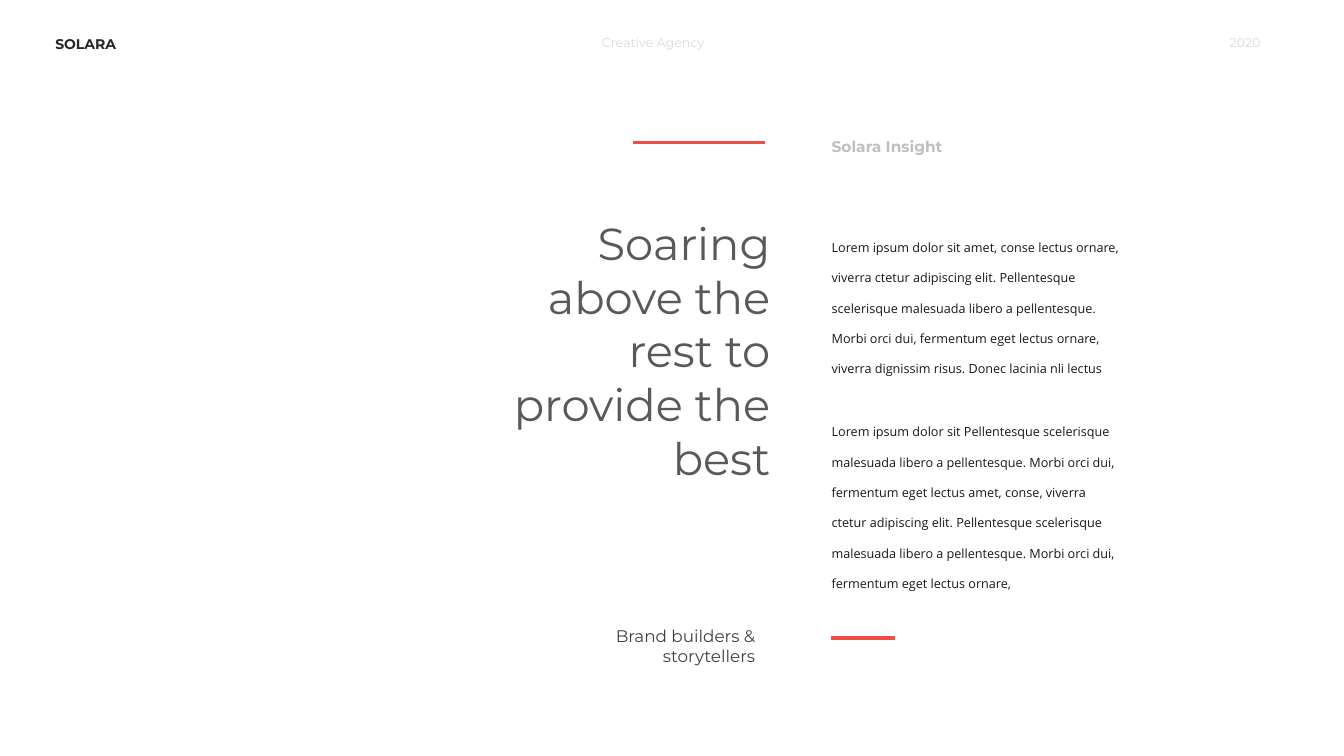
from dataclasses import dataclass

from lxml import etree
from pptx import Presentation, util as u
from pptx.dml.color import RGBColor
from pptx.enum import shapes, text
from pptx.oxml import ns
from pptx.slide import Slide


@dataclass(frozen=True)
class TextStyle:
    font: str
    size: float
    color: str
    bold: bool = False


@dataclass(frozen=True)
class Theme:
    brand: TextStyle = TextStyle("Montserrat", 10, "262626", True)
    header: TextStyle = TextStyle("Montserrat", 9, "D9D9D9")
    headline: TextStyle = TextStyle("Montserrat", 32, "595959")
    tagline: TextStyle = TextStyle("Montserrat", 12, "404040")
    section: TextStyle = TextStyle("Montserrat", 11, "BFBFBF", True)
    body: TextStyle = TextStyle("Open Sans", 9, "181818")
    accent: str = "EB4F48"
    rule_width: float = 2.25


@dataclass(frozen=True)
class TextBlock:
    content: str
    style: TextStyle
    left: float
    top: float
    width: float
    height: float
    align_right: bool = False
    line_spacing: float = 1.0


@dataclass(frozen=True)
class AccentRule:
    left: float
    right: float
    y: float


THEME = Theme()
HEADER_TOP = 0.3
COLUMN_LEFT = 8.15
COLUMN_WIDTH = 3.08

TEXT_BLOCKS = [
    TextBlock("SOLARA", THEME.brand, 0.45, HEADER_TOP, 1.07, 0.27),
    TextBlock("Creative Agency", THEME.header, 5.87, HEADER_TOP, 1.58, 0.25),
    TextBlock("2020", THEME.header, 11.02, HEADER_TOP, 1.58, 0.25, align_right=True),
    TextBlock("Soaring above the rest to provide the best", THEME.headline,
              4.48, 2.09, 3.26, 2.79, align_right=True),
    TextBlock("Lorem ipsum dolor sit amet, conse lectus ornare, viverra ctetur "
              "adipiscing elit. Pellentesque scelerisque malesuada libero a "
              "pellentesque. Morbi orci dui, fermentum eget lectus ornare, viverra "
              "dignissim risus. Donec lacinia nli lectus",
              THEME.body, COLUMN_LEFT, 2.18, COLUMN_WIDTH, 1.57, line_spacing=2.0),
    TextBlock("Brand builders & storytellers", THEME.tagline,
              5.52, 6.16, 2.07, 0.5, align_right=True),
    TextBlock("Lorem ipsum dolor sit Pellentesque scelerisque malesuada libero a "
              "pellentesque. Morbi orci dui, fermentum eget lectus amet, conse, "
              "viverra ctetur adipiscing elit. Pellentesque scelerisque malesuada "
              "libero a pellentesque. Morbi orci dui, fermentum eget lectus ornare,",
              THEME.body, COLUMN_LEFT, 4.01, COLUMN_WIDTH, 1.88, line_spacing=2.0),
    TextBlock("Solara Insight", THEME.section, COLUMN_LEFT, 1.31, 1.92, 0.29),
]

ACCENT_RULES = [AccentRule(6.28, 7.59, 1.41), AccentRule(8.24, 8.88, 6.33)]


def add_text_block(slide: Slide, block: TextBlock) -> None:
    shape = slide.shapes.add_textbox(u.Inches(block.left), u.Inches(block.top),
                                     u.Inches(block.width), u.Inches(block.height))
    frame = shape.text_frame
    frame.word_wrap = True
    frame.auto_size = text.MSO_AUTO_SIZE.SHAPE_TO_FIT_TEXT
    paragraph = frame.paragraphs[0]
    paragraph.alignment = text.PP_ALIGN.RIGHT if block.align_right else text.PP_ALIGN.LEFT
    paragraph.line_spacing = block.line_spacing
    run = paragraph.add_run()
    run.text = block.content
    style = block.style
    font_format = {"name": style.font, "size": u.Pt(style.size), "bold": style.bold}
    for attribute, value in font_format.items():
        setattr(run.font, attribute, value)
    run.font.color.rgb = RGBColor.from_string(style.color)


def add_accent_rule(slide: Slide, rule: AccentRule) -> None:
    connector = slide.shapes.add_connector(
        shapes.MSO_CONNECTOR.STRAIGHT, u.Inches(rule.left), u.Inches(rule.y),
        u.Inches(rule.right), u.Inches(rule.y))
    connector.line.color.rgb = RGBColor.from_string(THEME.accent)
    connector.line.width = u.Pt(THEME.rule_width)
    etree.SubElement(connector._element.spPr, ns.qn("a:effectLst"))


def main() -> None:
    presentation = Presentation()
    presentation.slide_width = u.Inches(13.33)
    presentation.slide_height = u.Inches(7.5)
    slide = presentation.slides.add_slide(presentation.slide_layouts[6])
    for block in TEXT_BLOCKS:
        add_text_block(slide, block)
    for rule in ACCENT_RULES:
        add_accent_rule(slide, rule)
    presentation.save("out.pptx")


if __name__ == "__main__":
    main()
